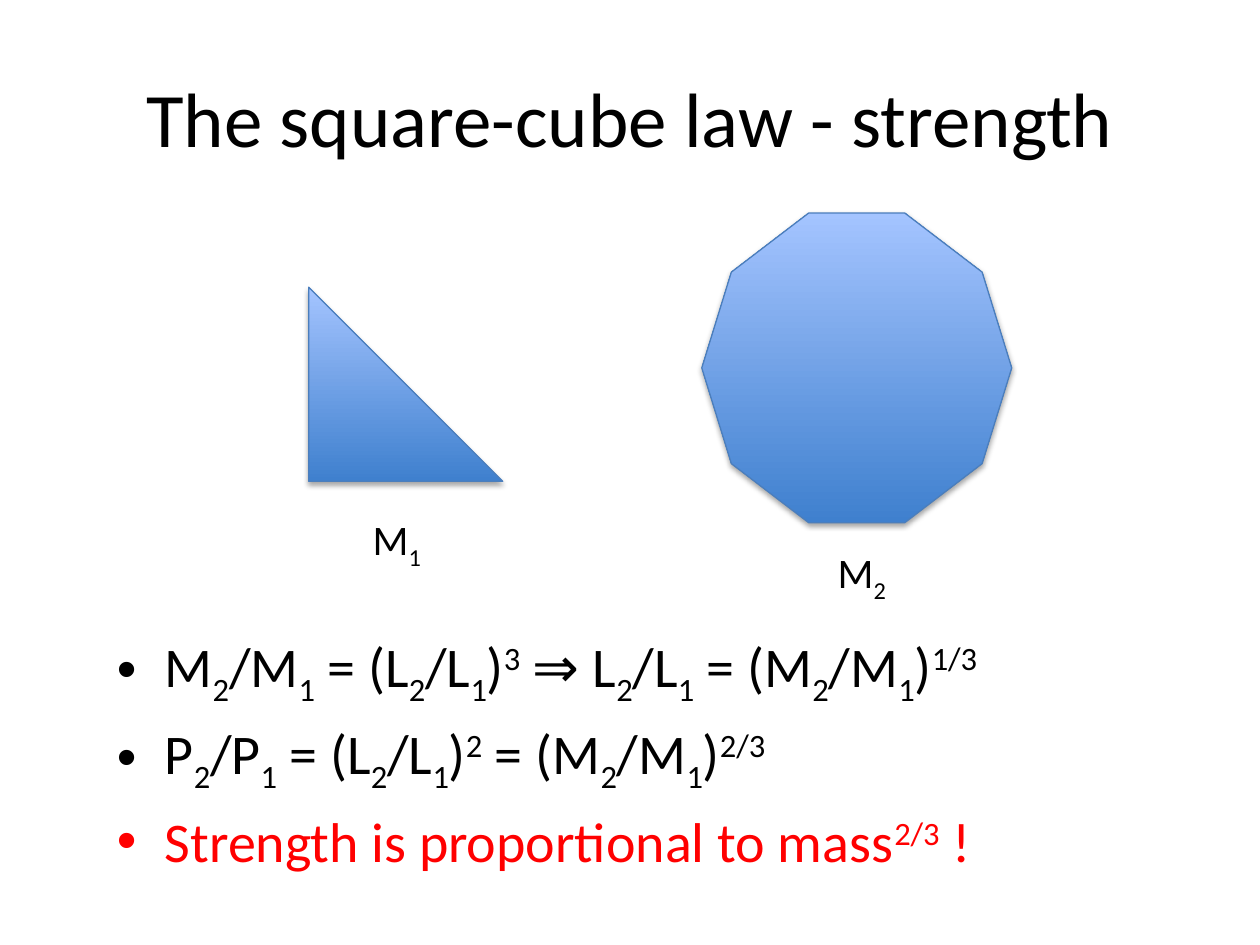
from lxml.etree import SubElement
from pptx import Presentation
from pptx.dml.color import RGBColor
from pptx.enum.shapes import MSO_SHAPE
from pptx.enum.text import MSO_ANCHOR, MSO_AUTO_SIZE, PP_ALIGN
from pptx.oxml.ns import qn
from pptx.util import Inches, Pt

BLACK = RGBColor(0x00, 0x00, 0x00)
RED = RGBColor(0xFF, 0x00, 0x00)
EDGE = RGBColor(0x4B, 0x7E, 0xBC)
GRADIENT = (RGBColor(0x3F, 0x80, 0xCE), RGBColor(0xA4, 0xC4, 0xFF))
FONT = "Calibri"

# Content: _x_ is a subscript, ^x^ a superscript
TITLE = "The square-cube law - strength"
BODIES = [  # shape, (left, top, side), label, (label left, label top)
    (MSO_SHAPE.DECAGON, (5.57, 1.69, 2.46), "M_2_", (6.55, 4.29)),
    (MSO_SHAPE.RIGHT_TRIANGLE, (2.45, 2.28, 1.54), "M_1_", (2.86, 4.03)),
]
BULLETS = [
    ("M_2_/M_1_ = (L_2_/L_1_)^3^ ⇒ L_2_/L_1_ = (M_2_/M_1_)^1/3^", BLACK),
    ("P_2_/P_1_ = (L_2_/L_1_)^2^ = (M_2_/M_1_)^2/3^", BLACK),
    ("Strength is proportional to mass^2/3^ !", RED),
]
BASELINES = {"_": "-25000", "^": "30000"}


def split_marks(text):
    """Yield (piece, mark) pairs; mark is "", "_" or "^"."""
    piece, mark = "", ""
    for ch in text:
        if ch in BASELINES:
            if piece:
                yield piece, mark
            piece, mark = "", "" if mark else ch
        else:
            piece += ch
    if piece:
        yield piece, mark


def add_runs(p, text, size, color):
    for piece, mark in split_marks(text):
        r = p.add_run()
        r.text = piece
        for name, value in {"name": FONT, "size": Pt(size)}.items():
            setattr(r.font, name, value)
        r.font.color.rgb = color
        if mark:
            r.font._element.set("baseline", BASELINES[mark])


def add_bullet(p):
    pPr = p._p.get_or_add_pPr()
    pPr.set("marL", str(Inches(0.38)))
    pPr.set("indent", str(-Inches(0.38)))
    SubElement(pPr, qn("a:buFont"), typeface="Arial")
    SubElement(pPr, qn("a:buChar"), char="•")


def add_shadow(sp):
    sp.shadow.inherit = False
    effects = sp._element.spPr.find(qn("a:effectLst"))
    shadow = SubElement(effects, qn("a:outerShdw"), blurRad=str(Pt(3.1)),
                        dist=str(Pt(1.8)), dir="5400000", rotWithShape="0")
    color = SubElement(shadow, qn("a:srgbClr"), val="000000")
    SubElement(color, qn("a:alpha"), val="35000")


def add_text_box(s, left, top, width, height, **frame):
    tf = s.shapes.add_textbox(*map(Inches, (left, top, width, height))).text_frame
    for name, value in frame.items():
        setattr(tf, name, value)
    return tf


def main():
    prs = Presentation()
    prs.slide_width, prs.slide_height = Inches(10), Inches(7.5)
    s = prs.slides.add_slide(prs.slide_layouts[5])

    # Title
    title = s.shapes.title
    for name, value in zip(("left", "top", "width", "height"), (0.5, 0.3, 9, 1.25)):
        setattr(title, name, Inches(value))
    title.text_frame.vertical_anchor = MSO_ANCHOR.MIDDLE
    p = title.text_frame.paragraphs[0]
    p.alignment = PP_ALIGN.CENTER
    add_runs(p, TITLE, 44, BLACK)

    # Small and large body, each with its mass label
    for kind, (left, top, side), label, corner in BODIES:
        sp = s.shapes.add_shape(kind, *map(Inches, (left, top, side, side)))
        sp.fill.gradient()
        sp.fill.gradient_angle = 90
        for stop, color, position in zip(sp.fill.gradient_stops, GRADIENT, (0, 1)):
            stop.color.rgb = color
            stop.position = position
        sp.line.color.rgb = EDGE
        sp.line.width = Pt(0.75)
        add_shadow(sp)
        tf = add_text_box(s, *corner, 0.6, 0.5, word_wrap=False,
                          auto_size=MSO_AUTO_SIZE.SHAPE_TO_FIT_TEXT)
        add_runs(tf.paragraphs[0], label, 24, BLACK)

    # Scaling relations
    tf = add_text_box(s, 0.83, 4.96, 8.14, 2.3, word_wrap=True)
    for i, (text, color) in enumerate(BULLETS):
        p = tf.add_paragraph() if i else tf.paragraphs[0]
        add_bullet(p)
        if i:
            p.space_before = Pt(6.4)
        add_runs(p, text, 32, color)

    prs.save("out.pptx")


if __name__ == "__main__":
    main()
